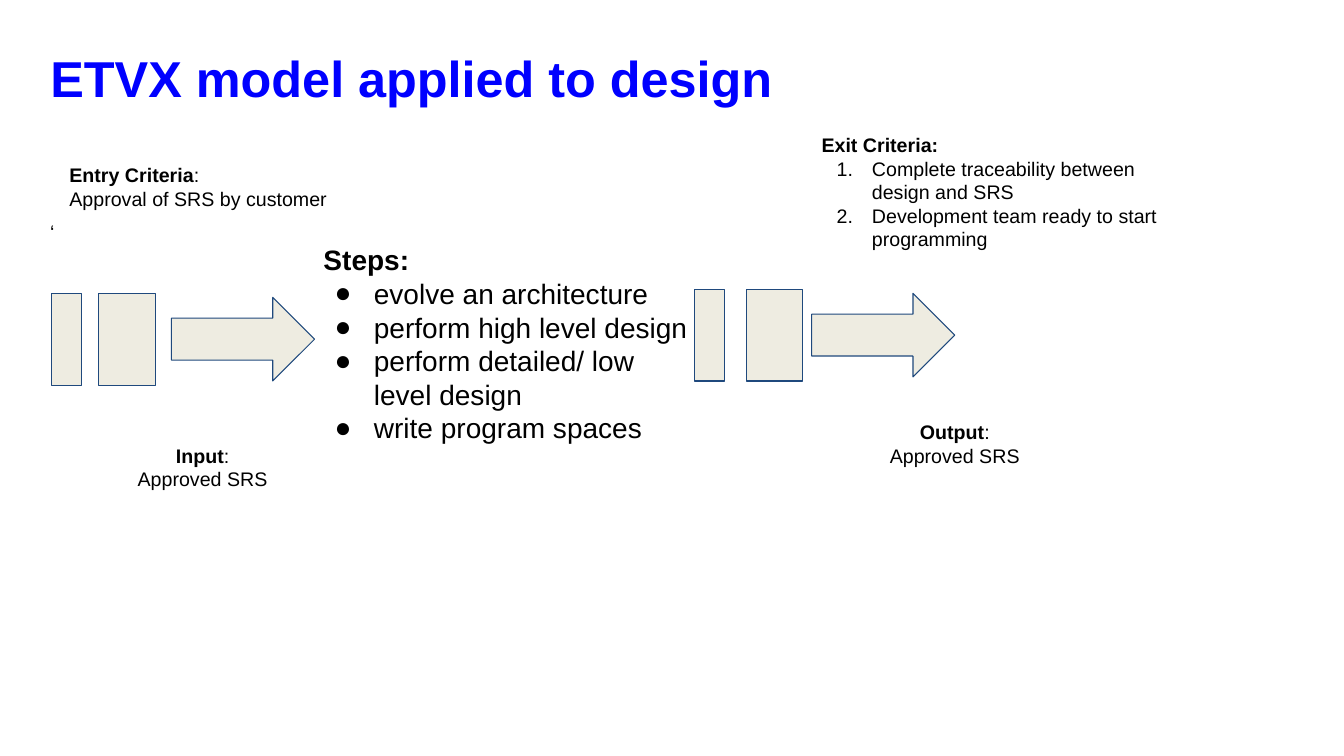
"""Build a slide that shows the ETVX model applied to design."""
from dataclasses import dataclass

from lxml import etree
from pptx import Presentation
from pptx import util as u
from pptx.dml import color as c
from pptx.enum import shapes as sh, text as t
from pptx.oxml import ns

FONT = "Arial"
BLACK, BLUE, CREAM, NAVY = "000000", "0000FF", "EEECE1", "1F497D"
LEFT, MID = t.PP_ALIGN.LEFT, t.PP_ALIGN.CENTER
BOX = sh.MSO_SHAPE.FLOWCHART_PROCESS
ARROW = sh.MSO_SHAPE.RIGHT_ARROW


@dataclass
class Note:
    at: tuple[float, float, float, float]
    head: str
    body: tuple[str, ...] = ()
    tail: str = ""
    size: int = 14
    bold: bool = True
    align: t.PP_ALIGN = LEFT
    mark: str = ""
    hang: float = 0


@dataclass
class Part:
    kind: sh.MSO_SHAPE
    left: float
    drop: float
    width: float
    height: float


def paint(fmt, code: str) -> None:
    if hasattr(fmt, "solid"):
        fmt.solid()
        fmt = fmt.fore_color
        fmt.rgb = c.RGBColor.from_string(code)
    else:
        fmt.color.rgb = c.RGBColor.from_string(code)


def write(para, words: str, size: float = 14, bold: bool = False,
          color: str = BLACK, align: t.PP_ALIGN = LEFT) -> None:
    para.alignment = align
    run = para.add_run()
    run.text = words
    run.font.name, run.font.size, run.font.bold = FONT, u.Pt(size), bold
    paint(run.font, color)


def bullet(para, mark: str, hang: float) -> None:
    props = para._p.get_or_add_pPr()
    props.set("marL", str(u.Inches(0.5)))
    props.set("indent", str(-u.Inches(hang)))
    tint = etree.SubElement(props, ns.qn("a:buClr"))
    etree.SubElement(tint, ns.qn("a:srgbClr"), val=BLACK)
    etree.SubElement(props, ns.qn("a:buFont"), typeface=FONT)
    if mark == "1.":
        etree.SubElement(props, ns.qn("a:buAutoNum"), type="arabicPeriod")
    else:
        etree.SubElement(props, ns.qn("a:buChar"), char=mark)


def frame(shape, anchor: t.MSO_ANCHOR = t.MSO_ANCHOR.TOP):
    area = shape.text_frame
    area.word_wrap, area.auto_size = True, t.MSO_AUTO_SIZE.NONE
    area.vertical_anchor = anchor
    area.margin_left = area.margin_right = u.Inches(0.1)
    area.margin_top = area.margin_bottom = u.Inches(0.1)
    return area


def draw_title(slide, words: str) -> None:
    title = slide.shapes.title
    title.left, title.top = u.Inches(0.4), u.Inches(0.31)
    title.width, title.height = u.Inches(11.39), u.Inches(0.91)
    area = frame(title, t.MSO_ANCHOR.MIDDLE)
    write(area.paragraphs[0], words, size=36, bold=True, color=BLUE)


def draw_note(slide, note: Note) -> None:
    area = frame(slide.shapes.add_textbox(*map(u.Inches, note.at)))
    first = area.paragraphs[0]
    write(first, note.head, note.size, note.bold, align=note.align)
    if note.tail:
        write(first, note.tail, note.size, align=note.align)
    for line in note.body:
        para = area.add_paragraph()
        write(para, line, note.size, align=note.align)
        if note.mark:
            bullet(para, note.mark, note.hang)


def draw_part(slide, part: Part, top: float) -> None:
    place = (part.left, top + part.drop, part.width, part.height)
    shape = slide.shapes.add_shape(part.kind, *map(u.Inches, place))
    shape.shadow.inherit = False
    paint(shape.fill, CREAM)
    paint(shape.line, NAVY)
    shape.line.width = u.Pt(0.75)


def flow(top: float, thin: float, wide: float, arrow: float) -> tuple[float, list[Part]]:
    return top, [Part(BOX, thin, 0, 0.3, 0.91),
                 Part(BOX, wide, 0, 0.56, 0.91),
                 Part(ARROW, arrow, 0.04, 1.42, 0.83)]


FLOWS = [flow(2.91, 0.51, 0.98, 1.7), flow(2.87, 6.89, 7.4, 8.05)]

NOTES = [
    Note((0.4, 2.08, 12.14, 4.62), "‘", bold=False),
    Note((3.11, 2.31, 3.88, 2.39), "Steps:",
         ("evolve an architecture", "perform high level design",
          "perform detailed/ low level design", "write program spaces"),
         size=20, mark="●", hang=0.39),
    Note((0.99, 4.3, 2.04, 0.62), "Input", ("Approved SRS",), ":", align=MID),
    Note((0.59, 1.52, 3.37, 0.62), "Entry Criteria",
         ("Approval of SRS by customer",), ":"),
    Note((8.05, 1.22, 3.56, 1.44), "Exit Criteria:",
         ("Complete traceability between design and SRS",
          "Development team ready to start programming"),
         mark="1.", hang=0.35),
    Note((8.45, 4.07, 2.04, 0.62), "Output", ("Approved SRS",), ":", align=MID),
]


def main() -> None:
    deck = Presentation()
    deck.slide_width, deck.slide_height = u.Inches(13.33), u.Inches(7.5)
    slide = deck.slides.add_slide(deck.slide_layouts[5])
    draw_title(slide, "ETVX model applied to design")
    for top, parts in FLOWS:
        for part in parts:
            draw_part(slide, part, top)
    for note in NOTES:
        draw_note(slide, note)
    deck.save("out.pptx")


if __name__ == "__main__":
    main()
